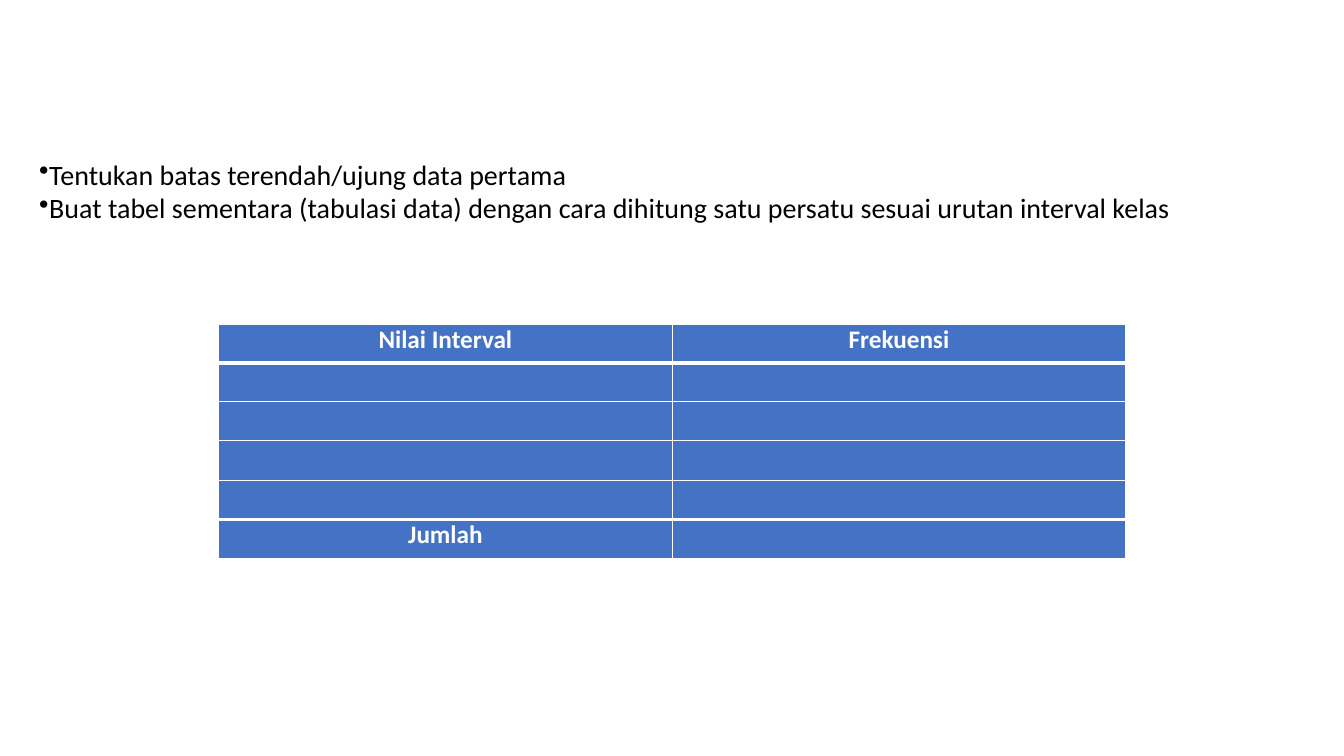
from lxml.etree import SubElement
from pptx import Presentation
from pptx.dml.color import RGBColor
from pptx.enum.text import MSO_ANCHOR as Anchor, MSO_AUTO_SIZE as AutoSize, PP_ALIGN as Align
from pptx.oxml.ns import qn
from pptx.util import Cm, Pt

STEPS = [
    "Tentukan batas terendah/ujung data pertama",
    "Buat tabel sementara (tabulasi data) dengan cara dihitung satu persatu "
    "sesuai urutan interval kelas",
]
ROWS = [
    ("Nilai Interval", "Frekuensi"),
    ("", ""),
    ("", ""),
    ("", ""),
    ("", ""),
    ("Jumlah", ""),
]
ROW_HEIGHTS = [0.97, 0.97, 0.99, 0.99, 0.99, 0.99]
COLUMN_WIDTH = 11.43
COLORS = {"text": "000000", "cell": "4472C4", "line": "FFFFFF", "label": "FFFFFF"}
FONT = "Calibri"


def add_span(para, text, size, color, bold=False):
    span = para.add_run()
    span.text = text
    span.font.name = FONT
    span.font.size = Pt(size)
    span.font.bold = bold
    span.font.color.rgb = RGBColor.from_string(COLORS[color])


def add_bullet(para):
    properties = para._p.get_or_add_pPr()
    properties.set("marL", "0")
    properties.set("indent", "0")
    SubElement(properties, qn("a:buChar"), char="•")
    tabs = SubElement(properties, qn("a:tabLst"))
    SubElement(tabs, qn("a:tab"), pos=str(Cm(2.31)), algn="l")


def add_borders(cell, top, bottom):
    properties = cell._tc.get_or_add_tcPr()
    for side, width in (("L", 1), ("R", 1), ("T", top), ("B", bottom)):
        line = SubElement(properties, qn("a:ln" + side), w=str(Pt(width)))
        fill = SubElement(line, qn("a:solidFill"))
        SubElement(fill, qn("a:srgbClr"), val=COLORS["line"])


deck = Presentation()
deck.slide_width, deck.slide_height = Cm(33.87), Cm(19.05)
page = deck.slides.add_slide(deck.slide_layouts[6])

# Steps
box = page.shapes.add_textbox(Cm(0.74), Cm(3.84), Cm(37.9), Cm(2.74))
frame = box.text_frame
frame.word_wrap = True
frame.auto_size = AutoSize.NONE
frame.vertical_anchor = Anchor.TOP
for index, step in enumerate(STEPS):
    para = frame.add_paragraph() if index else frame.paragraphs[0]
    add_bullet(para)
    add_span(para, step, 20, "text")

# Frequency table
columns = len(ROWS[0])
table = page.shapes.add_table(
    len(ROWS), columns, Cm(5.51), Cm(8.18),
    Cm(COLUMN_WIDTH * columns), Cm(sum(ROW_HEIGHTS)),
).table
for column in table.columns:
    column.width = Cm(COLUMN_WIDTH)

last = len(ROWS) - 1
for r, labels in enumerate(ROWS):
    table.rows[r].height = Cm(ROW_HEIGHTS[r])
    # Thick rules set off the heading and the total
    top = 3 if r in (1, last) else 1
    bottom = 3 if r in (0, last - 1) else 1
    for c, label in enumerate(labels):
        cell = table.cell(r, c)
        cell.margin_left = cell.margin_right = cell.margin_top = cell.margin_bottom = 0
        add_borders(cell, top, bottom)
        cell.fill.solid()
        cell.fill.fore_color.rgb = RGBColor.from_string(COLORS["cell"])
        if label:
            para = cell.text_frame.paragraphs[0]
            para.alignment = Align.CENTER
            add_span(para, label, 18, "label", bold=True)

deck.save("out.pptx")
